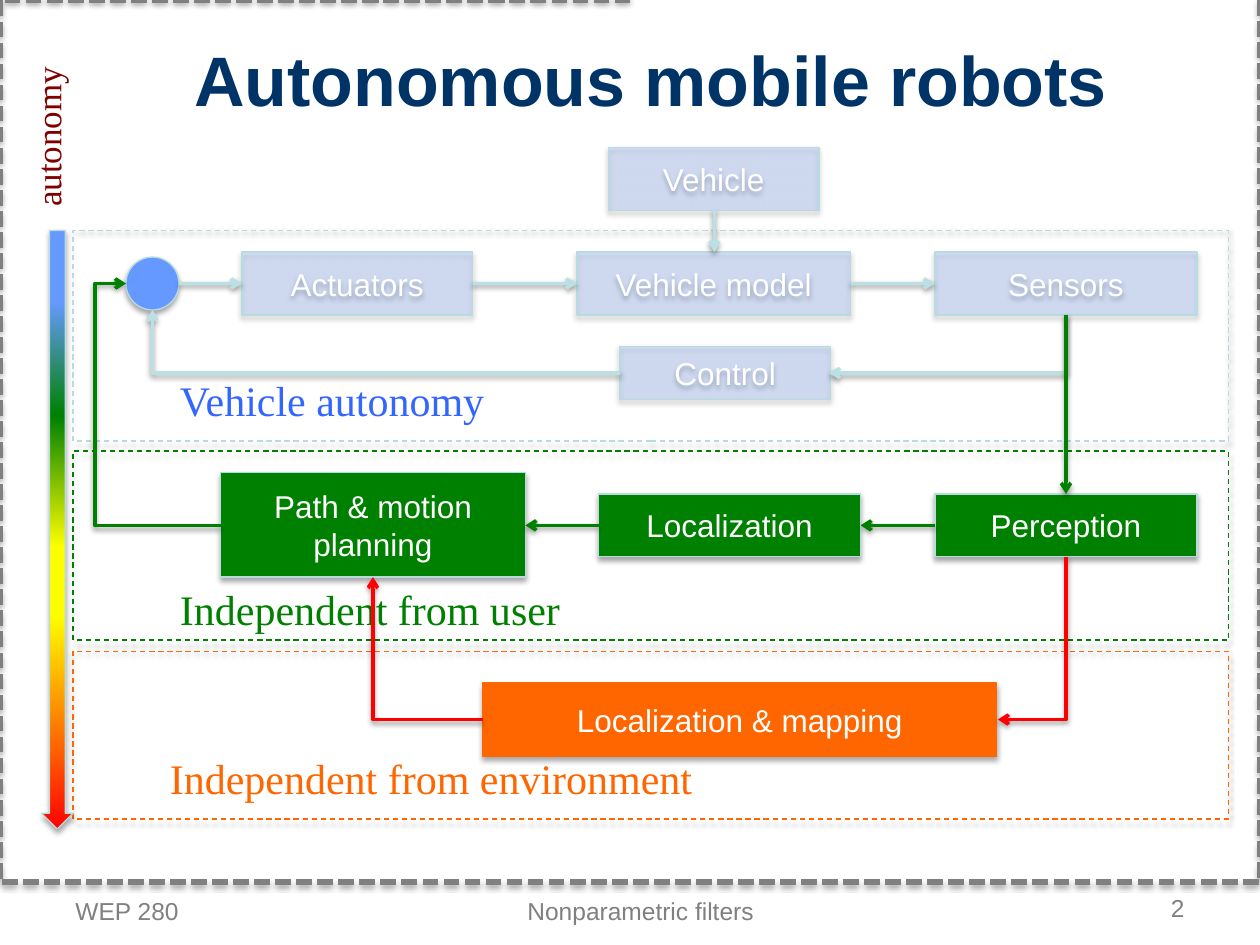
from dataclasses import dataclass
from typing import NamedTuple, Optional

from lxml.etree import SubElement
from pptx import Presentation
from pptx.dml.color import RGBColor
from pptx.enum.dml import MSO_LINE
from pptx.enum.shapes import MSO_CONNECTOR, MSO_SHAPE
from pptx.enum.text import MSO_ANCHOR, MSO_AUTO_SIZE, PP_ALIGN
from pptx.oxml.ns import qn
from pptx.util import Inches, Pt


@dataclass(frozen=True)
class Theme:
    sans: str = "Arial"
    serif: str = "Times New Roman"
    navy: str = "003366"
    gray: str = "808080"
    white: str = "FFFFFF"
    blue: str = "6699FF"
    royal: str = "3366FF"
    pale: str = "B6DCDF"
    aqua: str = "BBE0E3"
    green: str = "008000"
    yellow: str = "FFFF00"
    orange: str = "FF6600"
    red: str = "FF0000"
    maroon: str = "800000"
    title: int = 40
    label: int = 24
    axis: int = 20
    body: int = 18
    foot: int = 14
    thin: float = 0.75
    link: float = 2
    frame: float = 3


T = Theme()


class Shade(NamedTuple):
    alpha: int
    dist: float


class Box(NamedTuple):
    text: str
    x: float
    y: float
    w: float
    h: float
    fill: str = T.blue
    edge: str = T.pale
    alpha: int = 100


class Band(NamedTuple):
    y: float
    h: float
    color: str


class Label(NamedTuple):
    text: str
    x: float
    y: float
    w: float
    h: float
    color: str
    size: int = T.label
    font: str = T.serif
    align: PP_ALIGN = PP_ALIGN.LEFT
    wrap: bool = True
    turn: int = 0


class Link(NamedTuple):
    start: tuple
    end: tuple
    color: str
    turn: int = 0  # 90 leaves downwards, 180 leaves to the left
    bend: Optional[float] = None  # middle leg, as a share of the width


SHAPE_SHADE = Shade(35, 1.8)
LINE_SHADE = Shade(38, 1.6)
FAINT = 22

EDGE = [
    (9.81, 0.2), (9.89, 0.68), (9.72, 1.29), (9.93, 2.12), (9.72, 3.06), (9.91, 3.94),
    (9.72, 4.6), (9.88, 5.28), (9.67, 5.91), (9.93, 6.58), (9.76, 7.07), (8.56, 6.98),
    (7.41, 7.02), (6.44, 6.96), (6.32, 6.96), (5.24, 7.04), (4.03, 6.98), (2.68, 7.06),
    (1.56, 6.98), (0.53, 7.07), (0.2, 6.92), (0.27, 6.34), (0.17, 5.75), (0.26, 4.93),
    (0.18, 4.35), (0.27, 3.59), (0.18, 2.92), (0.27, 2.24), (0.19, 1.51), (0.29, 1.03),
    (0.22, 0.47), (0.23, 0.22), (0.79, 0.18), (1.81, 0.2), (2.64, 0.17), (3.6, 0.22),
    (4.45, 0.18), (5.09, 0.24),
]
BANDS = [Band(1.83, 1.67, T.pale), Band(3.58, 1.5, T.green), Band(5.17, 1.33, T.orange)]
BOXES = [
    Box("Vehicle", 4.83, 1.17, 1.67, 0.5, alpha=FAINT),
    Box("Actuators", 1.92, 2, 1.83, 0.5, alpha=FAINT),
    Box("Vehicle model", 4.58, 2, 2.17, 0.5, alpha=FAINT),
    Box("Sensors", 7.42, 2, 2.08, 0.5, alpha=FAINT),
    Box("Control", 4.92, 2.75, 1.67, 0.42, alpha=FAINT),
    Box("Path & motion planning", 1.75, 3.75, 2.42, 0.83, T.green),
    Box("Localization", 4.75, 3.92, 2.08, 0.5, T.green),
    Box("Perception", 7.42, 3.92, 2.08, 0.5, T.green),
    Box("Localization & mapping", 3.83, 5.42, 4.08, 0.58, T.orange, T.orange),
]
LABELS = [
    Label("autonomy", -0.28, 0.86, 1.32, 0.44, T.maroon, T.axis, wrap=False, turn=270),
    Label("Vehicle autonomy", 1.33, 2.92, 2.92, 0.51, T.royal),
    Label("Independent from user", 1.33, 4.58, 3.33, 0.51, T.green),
    Label("Independent from environment", 1.25, 5.92, 4.4, 0.51, T.orange, wrap=False),
    Label("WEP 280", 0.5, 7.06, 2.33, 0.29, T.gray, T.foot, T.sans),
    Label("Nonparametric filters", 3.42, 7.06, 3.33, 0.29, T.gray, T.foot, T.sans, PP_ALIGN.CENTER),
    Label("2", 7.17, 7.04, 2.33, 0.29, T.gray, T.foot, T.sans, PP_ALIGN.RIGHT),
]
LINKS = [
    Link((8.46, 2.5), (6.58, 2.96), T.aqua, 90),
    Link((4.92, 2.96), (1.21, 2.46), T.aqua, 180),
    Link((1.42, 2.25), (1.92, 2.25), T.aqua),
    Link((3.75, 2.25), (4.58, 2.25), T.aqua),
    Link((6.75, 2.25), (7.42, 2.25), T.aqua),
    Link((5.67, 1.67), (5.67, 2), T.aqua),
    Link((8.46, 2.5), (8.46, 3.92), T.green),
    Link((7.42, 4.17), (6.83, 4.17), T.green),
    Link((4.75, 4.17), (4.17, 4.17), T.green),
    Link((1.75, 4.17), (1, 2.25), T.green, 180, 1.33),
    Link((8.46, 4.42), (7.92, 5.71), T.red, 90),
    Link((3.83, 5.71), (2.96, 4.58), T.red, 180),
]
STOPS = [(12, T.blue), (31, T.green), (53, T.yellow), (64, T.yellow), (86, T.orange), (100, T.red)]


def rgb(color: str) -> RGBColor:
    return RGBColor.from_string(color)


def add_shade(props, shade: Shade) -> None:
    """Give shape properties a soft shadow straight below."""
    host = props.find(qn("a:effectLst"))
    if host is None:
        host = SubElement(props, qn("a:effectLst"))
    outer = SubElement(host, qn("a:outerShdw"), blurRad=str(Pt(3.1)), dist=str(Pt(shade.dist)),
                       dir="5400000", rotWithShape="0")
    color = SubElement(outer, qn("a:srgbClr"), val="000000")
    SubElement(color, qn("a:alpha"), val=str(shade.alpha * 1000))


def set_text(frame, text: str, font: str, size: int, color: str, align=PP_ALIGN.CENTER) -> None:
    frame.text = text
    para = frame.paragraphs[0]
    para.alignment = align
    face = para.runs[0].font
    face.name, face.size, face.color.rgb = font, Pt(size), rgb(color)


def dress(shape, edge: str, width: float = T.thin, shade: Shade = SHAPE_SHADE) -> None:
    shape.line.color.rgb = rgb(edge)
    shape.line.width = Pt(width)
    shape.shadow.inherit = False
    add_shade(shape._element.spPr, shade)


def add_form(slide, kind, x: float, y: float, w: float, h: float, edge: str):
    shape = slide.shapes.add_shape(kind, Inches(x), Inches(y), Inches(w), Inches(h))
    dress(shape, edge)
    return shape


def draw_frame(slide) -> None:
    pen = slide.shapes.build_freeform(*EDGE[0], scale=Inches(1))
    pen.add_line_segments(EDGE[1:], close=False)
    frame = pen.convert_to_shape()
    frame.fill.background()
    dress(frame, T.gray, T.frame, LINE_SHADE)
    frame.line.dash_style = MSO_LINE.SQUARE_DOT


def draw_band(slide, band: Band) -> None:
    shape = add_form(slide, MSO_SHAPE.RECTANGLE, 0.58, band.y, 9.17, band.h, band.color)
    shape.fill.background()
    shape.line.dash_style = MSO_LINE.DASH


def draw_box(slide, box: Box, kind=MSO_SHAPE.RECTANGLE) -> None:
    shape = add_form(slide, kind, box.x, box.y, box.w, box.h, box.edge)
    shape.fill.solid()
    shape.fill.fore_color.rgb = rgb(box.fill)
    if box.alpha < 100:
        color = shape._element.spPr.find(qn("a:solidFill")).find(qn("a:srgbClr"))
        SubElement(color, qn("a:alpha"), val=str(box.alpha * 1000))
    if box.text:
        shape.text_frame.word_wrap = True
        shape.text_frame.vertical_anchor = MSO_ANCHOR.MIDDLE
        set_text(shape.text_frame, box.text, T.sans, T.body, T.white)


def draw_scale(slide) -> None:
    arrow = add_form(slide, MSO_SHAPE.DOWN_ARROW, 0.33, 1.83, 0.25, 4.75, T.pale)
    arrow.fill.gradient()
    arrow.fill.gradient_angle = 267
    stops = arrow._element.spPr.find(qn("a:gradFill")).find(qn("a:gsLst"))
    stops.clear()
    for place, color in STOPS:
        stop = SubElement(stops, qn("a:gs"), pos=str(place * 1000))
        SubElement(stop, qn("a:srgbClr"), val=color)


def draw_label(slide, label: Label) -> None:
    area = slide.shapes.add_textbox(*map(Inches, label[1:5]))
    area.rotation = label.turn
    area.text_frame.word_wrap = label.wrap
    set_text(area.text_frame, label.text, label.font, label.size, label.color, label.align)


def draw_link(slide, link: Link) -> None:
    (x1, y1), (x2, y2) = link.start, link.end
    kind = MSO_CONNECTOR.ELBOW if link.turn else MSO_CONNECTOR.STRAIGHT
    if link.turn:  # lay the unturned elbow about the middle of both ends
        w, h = abs(x2 - x1), abs(y2 - y1)
        if link.turn == 90:
            w, h = h, w
        mid_x, mid_y = (x1 + x2) / 2, (y1 + y2) / 2
        x1, y1, x2, y2 = mid_x - w / 2, mid_y - h / 2, mid_x + w / 2, mid_y + h / 2
    line = slide.shapes.add_connector(kind, *map(Inches, (x1, y1, x2, y2)))
    props = line._element.spPr
    if link.turn:
        props.find(qn("a:xfrm")).set("rot", str(link.turn * 60000))
        form = props.find(qn("a:prstGeom"))
        if link.bend is None:
            form.set("prst", "bentConnector2")
        else:
            SubElement(form.find(qn("a:avLst")), qn("a:gd"), name="adj1",
                       fmla=f"val {round(link.bend * 100000)}")
    line.line.color.rgb = rgb(link.color)
    line.line.width = Pt(T.link)
    SubElement(props.find(qn("a:ln")), qn("a:tailEnd"), type="arrow")
    add_shade(props, LINE_SHADE)


def main() -> None:
    deck = Presentation()
    deck.slide_width, deck.slide_height = Inches(10), Inches(7.5)
    slide = deck.slides.add_slide(deck.slide_layouts[5])

    # Title
    title = slide.shapes.title
    title.left, title.top, title.width, title.height = map(Inches, (0.5, 0.33, 9.33, 0.58))
    title.text_frame.auto_size = MSO_AUTO_SIZE.NONE
    title.text_frame.vertical_anchor = MSO_ANCHOR.MIDDLE
    set_text(title.text_frame, "Autonomous mobile robots", T.sans, T.title, T.navy)
    title.text_frame.paragraphs[0].runs[0].font.bold = True

    # Frame, bands and autonomy scale
    draw_frame(slide)
    for band in BANDS:
        draw_band(slide, band)
    draw_scale(slide)

    # Blocks, labels and arrows
    for box in BOXES:
        draw_box(slide, box)
    draw_box(slide, Box("", 1, 2.04, 0.42, 0.42), MSO_SHAPE.OVAL)
    for label in LABELS:
        draw_label(slide, label)
    for link in LINKS:
        draw_link(slide, link)
    deck.save("out.pptx")


if __name__ == "__main__":
    main()
